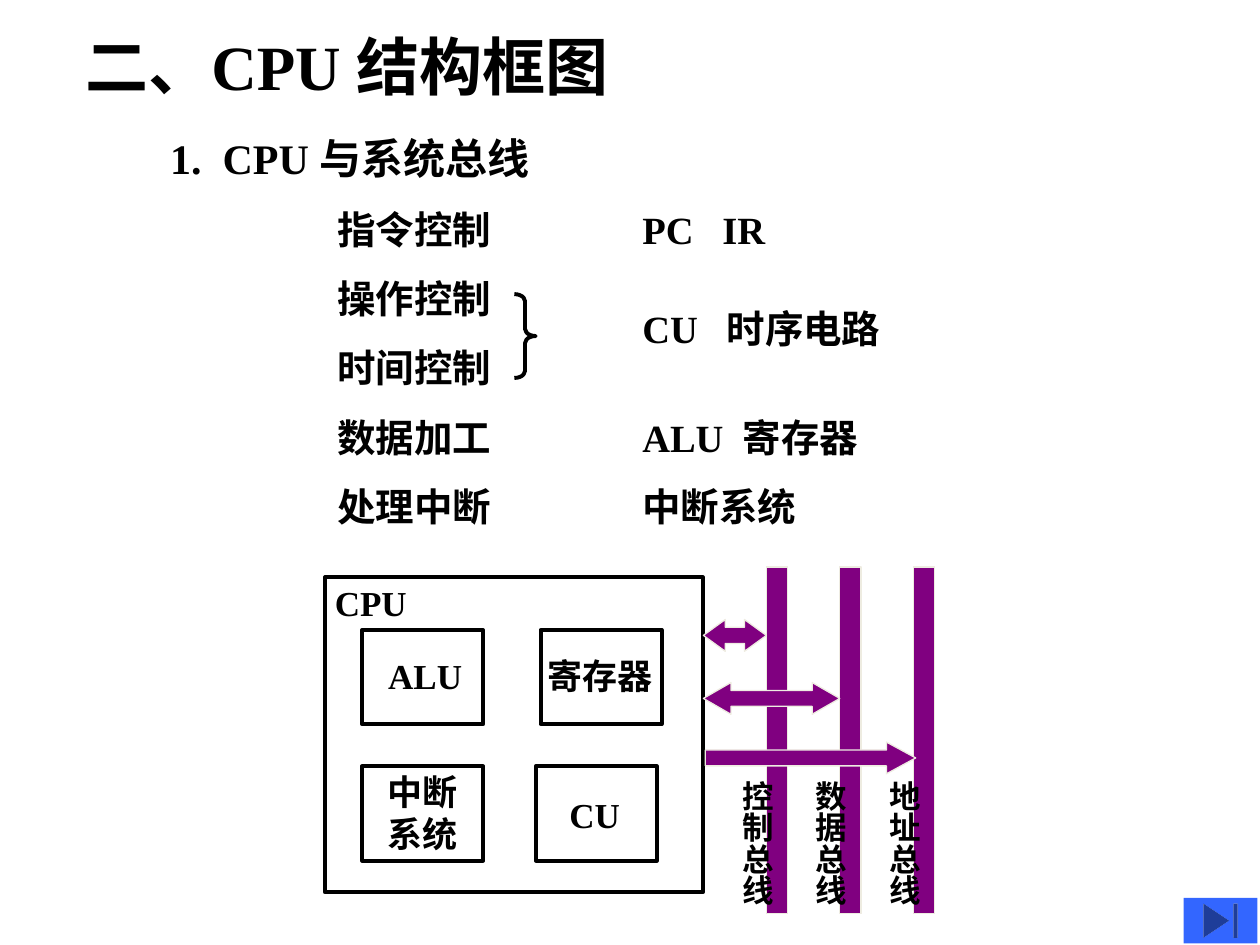
import pptx
import pptx.util
import pptx.dml.color
import pptx.enum.shapes
import pptx.enum.text

Cm = pptx.util.Cm
Pt = pptx.util.Pt
RGB = pptx.dml.color.RGBColor.from_string
KIND = pptx.enum.shapes.MSO_SHAPE
HUE = {"ink": "000000", "bus": "800080", "edge": "EEECE1", "key": "3366FF"}
FONT = "Times New Roman"

deck = pptx.Presentation()
deck.slide_width, deck.slide_height = Cm(25.4), Cm(19.05)
slide = deck.slides.add_slide(deck.slide_layouts[6])


def write(text, box, size, wrap=True):
    """Add a bold text box; box is left, top, width, height in cm."""
    shape = slide.shapes.add_textbox(*map(Cm, box))
    frame = shape.text_frame
    frame.word_wrap = wrap
    frame.text = text
    for par in frame.paragraphs:
        for run in par.runs:
            run.font.name = FONT
            run.font.size = Pt(size)
            run.font.bold = True
            run.font.color.rgb = RGB(HUE["ink"])
    return frame


def draw(kind, box, fill=None, line=None, width=2.25, adj=()):
    """Add a preset shape; box is left, top, width, height in cm."""
    shape = slide.shapes.add_shape(kind, *map(Cm, box))
    shape.shadow.inherit = False
    if fill:
        shape.fill.solid()
        shape.fill.fore_color.rgb = RGB(HUE[fill])
    else:
        shape.fill.background()
    if line:
        shape.line.color.rgb = RGB(HUE[line])
        shape.line.width = Pt(width)
    else:
        shape.line.fill.background()
    for i, value in enumerate(adj):
        shape.adjustments[i] = value


# Headings
write("二、CPU 结构框图", (1.47, 0.43, 15.88, 1.78), 36)
write("1.  CPU 与系统总线", (3.18, 2.54, 8.89, 1.27), 24)

# Tasks on the left, the parts that do them on the right
tasks = ["指令控制", "操作控制", "时间控制", "数据加工", "处理中断"]
for i, task in enumerate(tasks):
    write(task, (6.55, 4.02 + 1.4 * i, 7.62, 1.19), 22)

parts = [(0, "PC   IR"), (1.43, "CU   时序电路"), (3, "ALU  寄存器"), (4, "中断系统")]
for row, part in parts:
    write(part, (12.7, 4.02 + 1.4 * row, 7.62, 1.19), 22)

draw(KIND.RIGHT_BRACE, (10.37, 5.93, 0.43, 1.69), line="ink", adj=(0.33, 0.5))

# CPU and its units: box left and top, then text left, top and width
draw(KIND.RECTANGLE, (6.55, 11.64, 7.62, 6.35), line="ink")
write("CPU", (6.5, 11.6, 1.96, 1.09), 20, False)
units = [
    ("ALU", 7.3, 12.7, 7.47, 13.07, 2.2),
    ("寄存器", 10.9, 12.7, 10.68, 13.07, 2.84),
    ("中断\n系统", 7.3, 15.45, 7.4, 15.4, 2.23),
    ("CU", 10.8, 15.45, 10.99, 15.87, 2),
]
for name, left, top, x, y, wide in units:
    draw(KIND.RECTANGLE, (left, top, 2.44, 1.9), line="ink")
    high = 1.96 if "\n" in name else 1.09
    frame = write(name, (x, y, wide, high), 20, False)
    for par in frame.paragraphs:
        par.alignment = pptx.enum.text.PP_ALIGN.CENTER

# Buses, the arrows that reach them, and their names
names = ["控制总线", "数据总线", "地址总线"]
for i in range(len(names)):
    box = (15.45 + 1.48 * i, 11.43, 0.43, 6.99)
    draw(KIND.RECTANGLE, box, "bus", "edge", 0.75)

arrows = [
    (KIND.LEFT_RIGHT_ARROW, 14.18, 12.49, 1.27, (0.51, 0.69)),
    (KIND.LEFT_RIGHT_ARROW, 14.18, 13.76, 2.75, (0.5, 0.87)),
    (KIND.RIGHT_ARROW, 14.22, 14.96, 4.24, (0.5, 0.92)),
]
for kind, left, top, wide, adj in arrows:
    draw(kind, (left, top, wide, 0.64), "bus", "edge", 0.75, adj)

for i, name in enumerate(names):
    frame = write(name, (14.5 + 1.48 * i, 15.49, 1.27, 2.77), 18, False)
    frame._txBody.bodyPr.set("vert", "eaVert")

draw(KIND.ACTION_BUTTON_END, (23.86, 18.1, 1.49, 0.92), "key")

deck.save("out.pptx")
